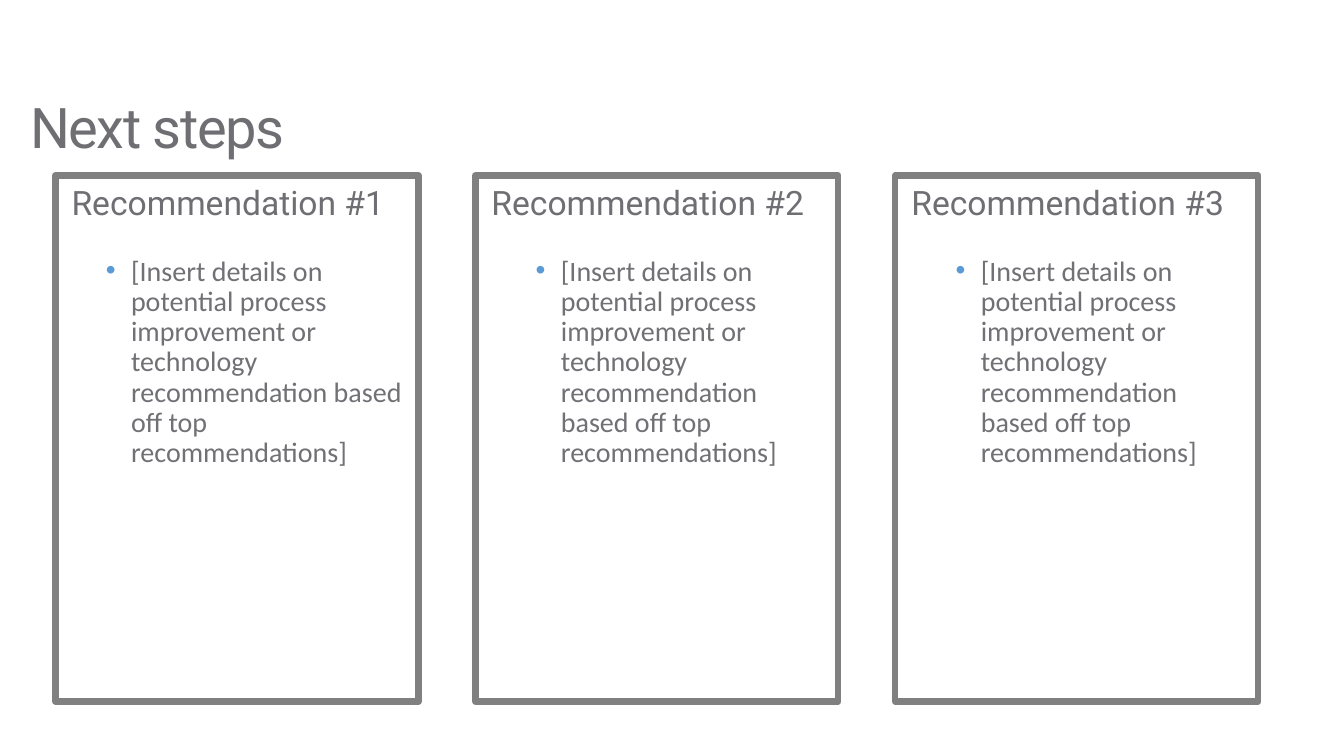
from pptx import Presentation
from pptx.dml.color import RGBColor
from pptx.enum.shapes import MSO_SHAPE
from pptx.enum.text import MSO_ANCHOR
from pptx.oxml import parse_xml
from pptx.oxml.ns import nsdecls
from pptx.util import Inches, Pt

TITLE = "Next steps"
DETAILS = ("[Insert details on potential process improvement or technology "
           "recommendation based off top recommendations]")
# heading, details, side inset of the details in inches
RECOMMENDATIONS = [
    ("Recommendation #1", DETAILS, 0),
    ("Recommendation #2", DETAILS, 0.1),
    ("Recommendation #3", DETAILS, 0.1),
]

THEME = {
    "title": ("Roboto", 40, "6E6E73"),
    "heading": ("Roboto", 24, "6E6E73"),
    "details": ("Calibri", 20, "707075"),
    "bullet": "5B9BD5",
    "frame": "808080",
    "frame_width": 4.5,
}

CARD_LEFT, CARD_TOP = 0.55, 1.74
CARD_WIDTH, CARD_HEIGHT = 3.6, 5.22
CARD_PITCH = 4.165


def add_text(slide, text, style, box, insets=(0.1, 0.05)):
    """Add a one-paragraph text box; insets are (sides, top and bottom)."""
    shape = slide.shapes.add_textbox(*map(Inches, box))
    frame = shape.text_frame
    frame.word_wrap = True
    frame.margin_left = frame.margin_right = Inches(insets[0])
    frame.margin_top = frame.margin_bottom = Inches(insets[1])
    frame.text = text
    paragraph = frame.paragraphs[0]
    paragraph.line_spacing = 0.9
    font = paragraph.runs[0].font
    font.name, size, color = THEME[style]
    font.size = Pt(size)
    font.color.rgb = RGBColor.from_string(color)
    return shape


def add_bullet(paragraph):
    properties = paragraph._p.get_or_add_pPr()
    properties.set("marL", str(Inches(0.75)))
    properties.set("indent", str(Inches(-0.25)))
    for element in (
        f'<a:buClr {nsdecls("a")}><a:srgbClr val="{THEME["bullet"]}"/></a:buClr>',
        f'<a:buFont {nsdecls("a")} typeface="Arial"/>',
        f'<a:buChar {nsdecls("a")} char="•"/>',
    ):
        properties.append(parse_xml(element))


def add_card(slide, left, heading, details, details_inset):
    frame = slide.shapes.add_shape(
        MSO_SHAPE.RECTANGLE,
        *map(Inches, (left, CARD_TOP, CARD_WIDTH, CARD_HEIGHT)))
    frame.shadow.inherit = False
    frame.fill.background()
    frame.line.color.rgb = RGBColor.from_string(THEME["frame"])
    frame.line.width = Pt(THEME["frame_width"])

    add_text(slide, heading, "heading", (left, 1.75, CARD_WIDTH, 0.57), (0.16, 0.1))
    body = add_text(slide, details, "details", (left, 2.5, CARD_WIDTH, 4.47),
                    (details_inset, 0.05))
    add_bullet(body.text_frame.paragraphs[0])


def main():
    presentation = Presentation()
    presentation.slide_width = Inches(13.33)
    presentation.slide_height = Inches(7.5)
    slide = presentation.slides.add_slide(presentation.slide_layouts[6])

    title = add_text(slide, TITLE, "title", (0.2, 0.8, 12.75, 0.98))
    title.text_frame.vertical_anchor = MSO_ANCHOR.MIDDLE
    title_run = title.text_frame.paragraphs[0].runs[0]
    title_run.font._element.set("spc", "-100")

    for index, recommendation in enumerate(RECOMMENDATIONS):
        add_card(slide, CARD_LEFT + index * CARD_PITCH, *recommendation)

    presentation.save("out.pptx")


if __name__ == "__main__":
    main()
